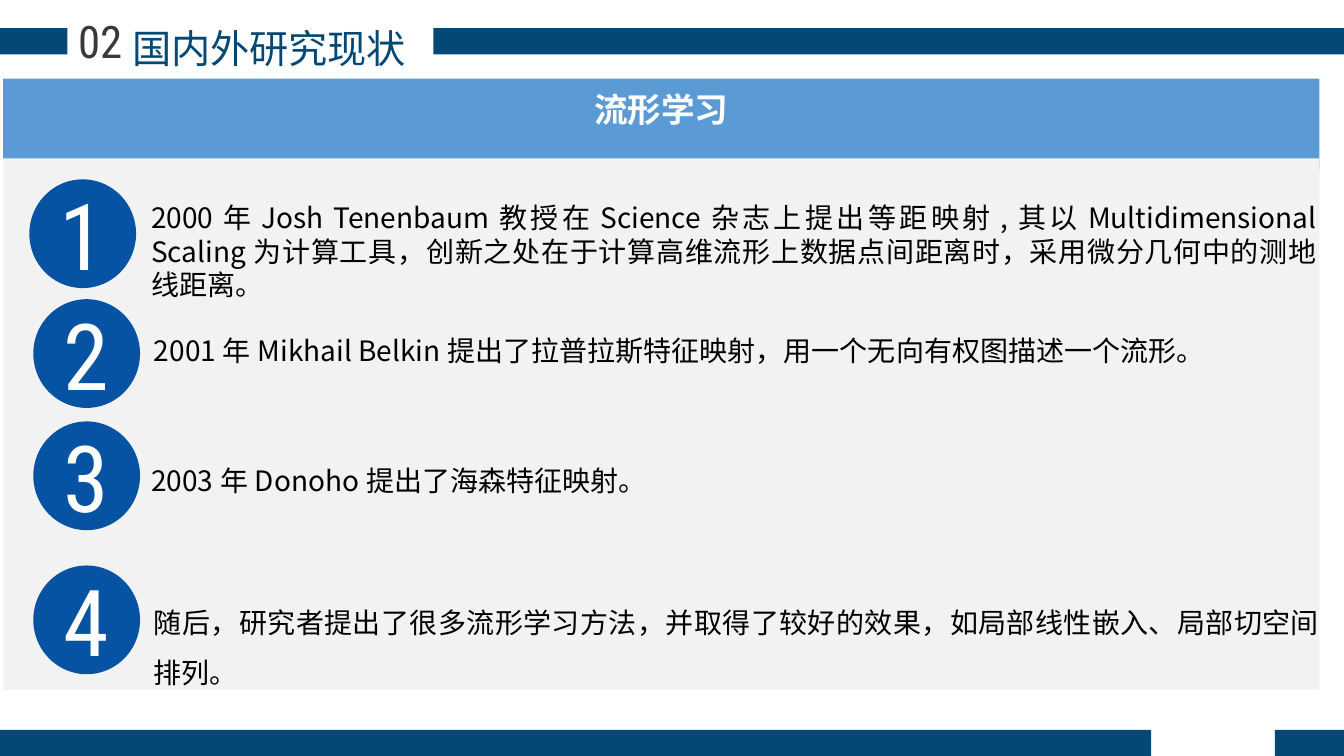
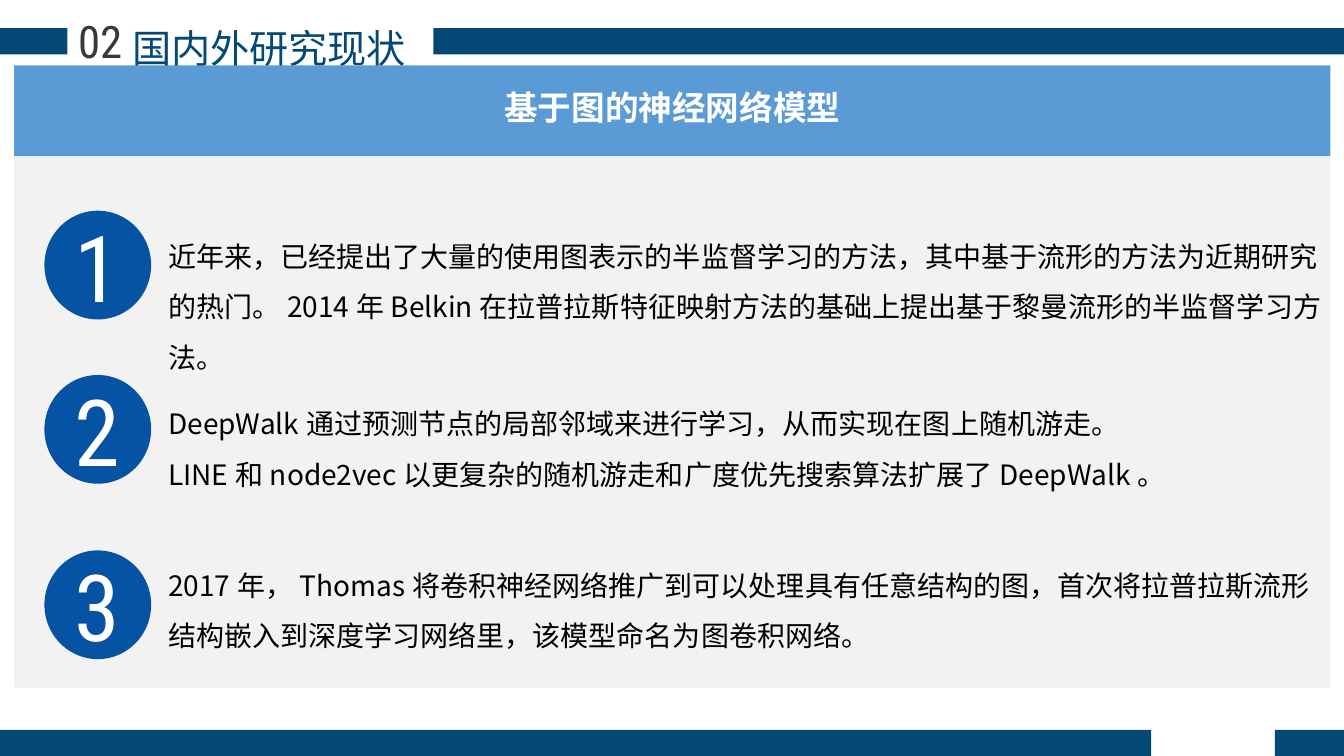
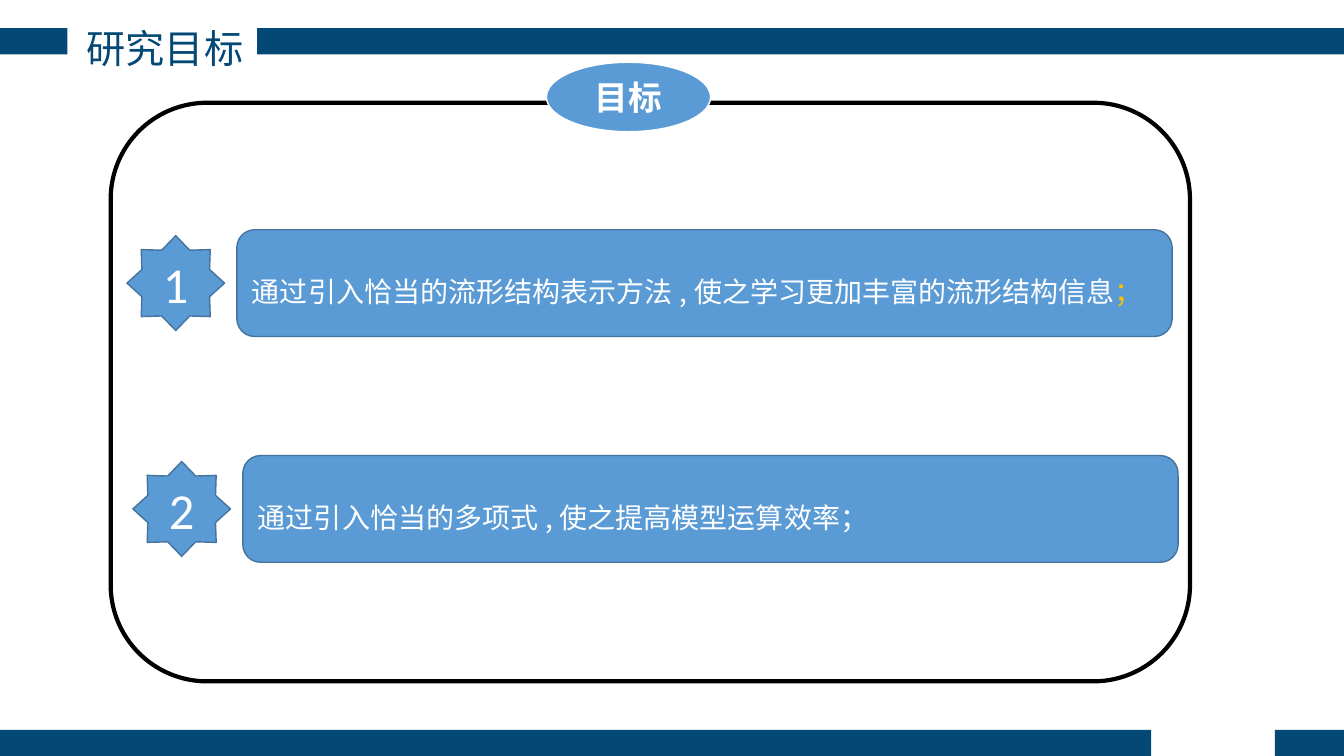
from lxml.etree import SubElement
from pptx import Presentation
from pptx.dml.color import RGBColor
from pptx.enum.shapes import MSO_SHAPE
from pptx.enum.text import MSO_ANCHOR, PP_ALIGN
from pptx.oxml.ns import qn
from pptx.util import Cm, Pt

NAVY = RGBColor(0x04, 0x48, 0x75)
DEEP_BLUE = RGBColor(0x06, 0x53, 0xA3)
SKY_BLUE = RGBColor(0x5B, 0x9B, 0xD5)
EDGE_BLUE = RGBColor(0x43, 0x73, 0x9E)
PALE_GREY = RGBColor(0xF2, 0xF2, 0xF2)
DARK_GREY = RGBColor(0x3B, 0x38, 0x38)
AMBER = RGBColor(0xFF, 0xC0, 0x00)
WHITE = RGBColor(0xFF, 0xFF, 0xFF)
BLACK = RGBColor(0x00, 0x00, 0x00)

CHINESE_FONT = "Noto Sans CJK SC"
NUMBER_FONT = "Roboto Condensed"

SLIDE_WIDTH, SLIDE_HEIGHT = 33.87, 19.05
BAND_HEIGHT = 0.66
PANEL_WIDTH = 33.17
SINGLE, WIDE = Pt(24), Pt(36)

TITLE = {"name": CHINESE_FONT, "size": Pt(28), "bold": False, "color": NAVY}
SECTION_NUMBER = {"name": NUMBER_FONT, "size": Pt(32), "color": DARK_GREY}
HEADING = {"name": CHINESE_FONT, "size": Pt(24), "bold": True, "color": WHITE}
ITEM_NUMBER = {"name": NUMBER_FONT, "size": Pt(66), "color": WHITE}
BODY = {"name": CHINESE_FONT, "size": Pt(20), "color": BLACK}
GOAL_NUMBER = {"name": "Calibri", "size": Pt(36), "color": WHITE}
GOAL_TEXT = BODY | {"color": WHITE}

# Each item: number, oval position, text position, text height, alignment, line spacing, paragraphs
MANIFOLD_ITEMS = [
    ("1", (0.74, 4.52), (3.56, 4.93), 1.96, PP_ALIGN.JUSTIFY, SINGLE,
     ["2000年Josh Tenenbaum教授在Science杂志上提出等距映射,其以Multidimensional Scaling为计算工具，"
      "创新之处在于计算高维流形上数据点间距离时，采用微分几何中的测地线距离。"]),
    ("2", (0.84, 7.54), (3.63, 8.28), 1.12, PP_ALIGN.JUSTIFY, SINGLE,
     ["2001年Mikhail Belkin提出了拉普拉斯特征映射，用一个无向有权图描述一个流形。"]),
    ("3", (0.84, 10.62), (3.56, 11.13), 1.55, PP_ALIGN.LEFT, WIDE,
     ["2003年Donoho提出了海森特征映射。"]),
    ("4", (0.84, 14.25), (3.63, 14.71), 2.82, PP_ALIGN.JUSTIFY, WIDE,
     ["随后，研究者提出了很多流形学习方法，并取得了较好的效果，如局部线性嵌入、局部切空间排列。"]),
]
GRAPH_ITEMS = [
    ("1", (1.12, 5.31), (3.99, 5.49), 2.82, PP_ALIGN.LEFT, WIDE,
     ["近年来，已经提出了大量的使用图表示的半监督学习的方法，其中基于流形的方法为近期研究的热门。"
      "2014年Belkin在拉普拉斯特征映射方法的基础上提出基于黎曼流形的半监督学习方法。"]),
    ("2", (1.12, 9.45), (3.99, 9.7), 2.82, PP_ALIGN.LEFT, WIDE,
     ["DeepWalk通过预测节点的局部邻域来进行学习，从而实现在图上随机游走。",
      "LINE和node2vec以更复杂的随机游走和广度优先搜索算法扩展了DeepWalk。"]),
    ("3", (1.12, 13.87), (3.99, 13.77), 2.82, PP_ALIGN.LEFT, WIDE,
     ["2017年，Thomas将卷积神经网络推广到可以处理具有任意结构的图，"
      "首次将拉普拉斯流形结构嵌入到深度学习网络里，该模型命名为图卷积网络。"]),
]
GOALS = [
    [("通过引入恰当的流形结构表示方法,使之学习更加丰富的流形结构信息", WHITE), ("；", AMBER)],
    [("通过引入恰当的多项式,使之提高模型运算效率；", WHITE)],
]


def format_run(run, style):
    """Apply a dict of font values, also to East Asian characters."""
    for key, value in style.items():
        if key == "color":
            run.font.color.rgb = value
        else:
            setattr(run.font, key, value)
    SubElement(run._r.get_or_add_rPr(), qn("a:ea"), typeface=style["name"])


def write_text(shape, paragraphs, style, align=PP_ALIGN.CENTER, spacing=None,
               anchor=MSO_ANCHOR.TOP, **margins):
    """Fill a shape; a paragraph is a string or a list of (text, colour) runs."""
    frame = shape.text_frame
    for key, value in {"word_wrap": True, "vertical_anchor": anchor, **margins}.items():
        setattr(frame, key, value)
    for index, content in enumerate(paragraphs):
        paragraph = frame.add_paragraph() if index else frame.paragraphs[0]
        paragraph.alignment = align
        paragraph.line_spacing = spacing
        runs = [(content, style["color"])] if isinstance(content, str) else content
        for text, color in runs:
            run = paragraph.add_run()
            run.text = text
            format_run(run, style | {"color": color})


def add_figure(slide, kind, box, fill=None, line=None, line_width=1):
    shape = slide.shapes.add_shape(kind, *map(Cm, box))
    shape.shadow.inherit = False
    if fill is None:
        shape.fill.background()
    else:
        shape.fill.solid()
        shape.fill.fore_color.rgb = fill
    if line is None:
        shape.line.fill.background()
    else:
        shape.line.color.rgb = line
        shape.line.width = Pt(line_width)
    return shape


def add_text(slide, box, *content, **layout):
    write_text(slide.shapes.add_textbox(*map(Cm, box)), *content, **layout)


def add_titled_slide(presentation, title, title_left, title_width, band_start):
    """Start a slide with its title and the navy bands at top and bottom."""
    slide = presentation.slides.add_slide(presentation.slide_layouts[5])
    footer_top = SLIDE_HEIGHT - BAND_HEIGHT
    bands = [(0, 0.71, 1.7), (band_start, 0.71, SLIDE_WIDTH - band_start),
             (0, footer_top, 29.01), (32.13, footer_top, SLIDE_WIDTH - 32.13)]
    for left, top, width in bands:
        add_figure(slide, MSO_SHAPE.RECTANGLE, (left, top, width, BAND_HEIGHT), NAVY)
    placeholder = slide.shapes.title
    box = {"left": title_left, "top": 0.46, "width": title_width, "height": 1.45}
    for key, value in box.items():
        setattr(placeholder, key, Cm(value))
    write_text(placeholder, [title], TITLE, spacing=Pt(34))
    return slide


def add_numbered_item(slide, number, oval_position, text_position, height,
                      align, spacing, paragraphs):
    oval = add_figure(slide, MSO_SHAPE.OVAL, (*oval_position, 2.69, 2.74), DEEP_BLUE)
    write_text(oval, [number], ITEM_NUMBER, anchor=MSO_ANCHOR.MIDDLE,
               margin_left=0, margin_right=0, margin_top=0, margin_bottom=0)
    add_text(slide, (*text_position, 29.87, height), paragraphs, BODY,
             align=align, spacing=spacing)


def add_status_slide(presentation, heading, left, heading_top, heading_inset,
                     panel_top, items):
    """Add a research-status slide: headed grey panel with numbered items."""
    slide = add_titled_slide(presentation, "国内外研究现状", 2.21, 9.14, 10.92)
    add_text(slide, (1.52, 0.23, 2.01, 1.63), ["02"], SECTION_NUMBER)
    header = add_figure(slide, MSO_SHAPE.RECTANGLE,
                        (left, heading_top, PANEL_WIDTH, 2.29), SKY_BLUE)
    write_text(header, [heading], HEADING, spacing=Pt(29), margin_top=Cm(heading_inset))
    add_figure(slide, MSO_SHAPE.RECTANGLE, (left, panel_top, PANEL_WIDTH, 13.39), PALE_GREY)
    for item in items:
        add_numbered_item(slide, *item)


def add_goal(slide, index, runs):
    left, top = 3.2 + 0.15 * index, 5.79 + 5.69 * index
    star = add_figure(slide, MSO_SHAPE.STAR_8_POINT, (left, top + 0.15, 2.46, 2.39),
                      SKY_BLUE, EDGE_BLUE)
    write_text(star, [str(index + 1)], GOAL_NUMBER, anchor=MSO_ANCHOR.MIDDLE)
    bar = add_figure(slide, MSO_SHAPE.ROUNDED_RECTANGLE, (left + 2.77, top, 23.57, 2.69),
                     SKY_BLUE, EDGE_BLUE)
    write_text(bar, [runs], GOAL_TEXT, align=PP_ALIGN.JUSTIFY, spacing=WIDE,
               anchor=MSO_ANCHOR.MIDDLE)


def add_goals_slide(presentation):
    slide = add_titled_slide(presentation, "研究目标", 1.02, 6.27, 6.48)
    add_figure(slide, MSO_SHAPE.ROUNDED_RECTANGLE, (2.79, 2.59, 27.2, 14.58),
               line=BLACK, line_width=3)
    badge = add_figure(slide, MSO_SHAPE.OVAL, (13.77, 1.57, 4.14, 1.75), SKY_BLUE, WHITE)
    write_text(badge, ["目标"], HEADING, spacing=Pt(29), anchor=MSO_ANCHOR.MIDDLE,
               margin_left=0, margin_right=0, margin_top=0, margin_bottom=0)
    for index, runs in enumerate(GOALS):
        add_goal(slide, index, runs)


def main():
    presentation = Presentation()
    presentation.slide_width = Cm(SLIDE_WIDTH)
    presentation.slide_height = Cm(SLIDE_HEIGHT)
    add_status_slide(presentation, "流形学习", 0.08, 1.98, 0.25, 3.99, MANIFOLD_ITEMS)
    add_status_slide(presentation, "基于图的神经网络模型", 0.36, 1.65, 0.53, 3.94, GRAPH_ITEMS)
    add_goals_slide(presentation)
    presentation.save("out.pptx")


if __name__ == "__main__":
    main()
